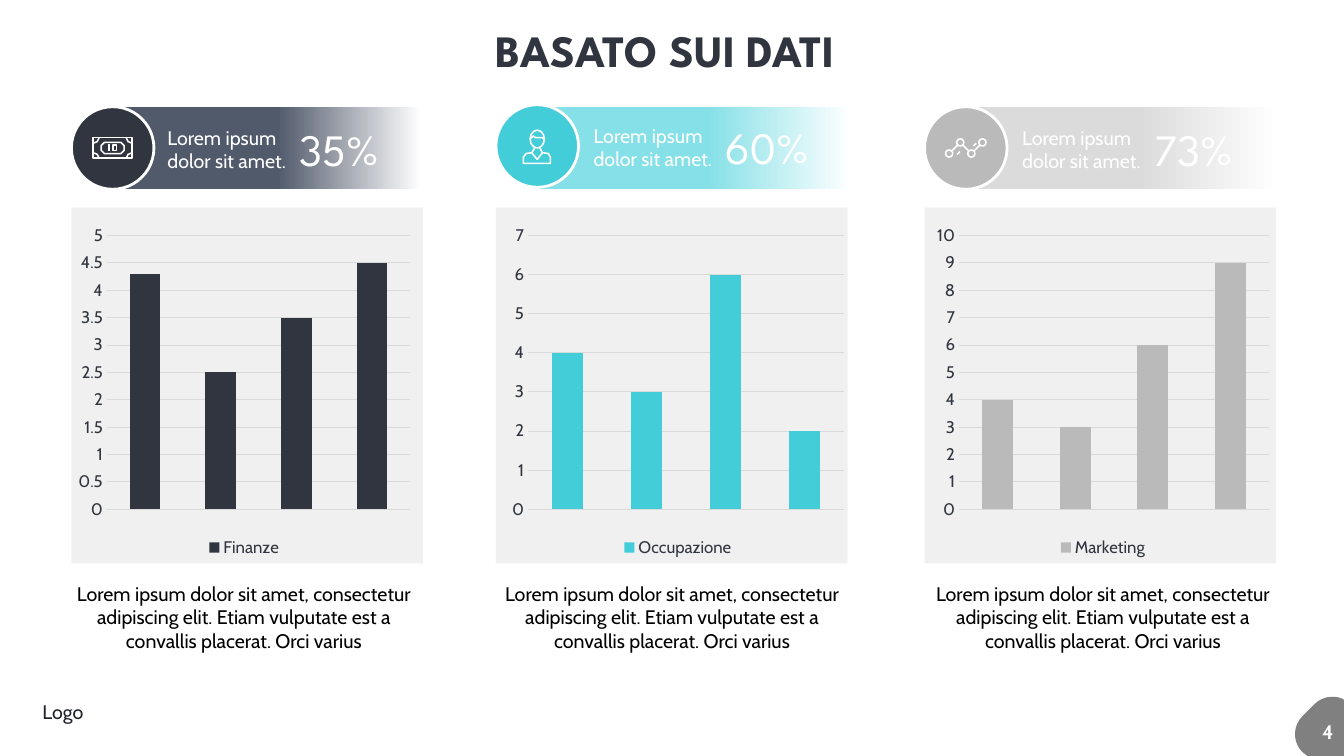
"""Build a slide with three headed column charts and their captions."""
from dataclasses import dataclass
from math import cos, radians, sin

from lxml.etree import SubElement
from pptx import Presentation
from pptx.chart.data import CategoryChartData
from pptx.dml.color import RGBColor
from pptx.enum.chart import XL_CHART_TYPE, XL_LEGEND_POSITION, XL_TICK_MARK
from pptx.enum.shapes import MSO_CONNECTOR, MSO_SHAPE
from pptx.enum.text import PP_ALIGN
from pptx.oxml.ns import qn
from pptx.util import Cm, Pt


@dataclass(frozen=True)
class Theme:
    heading_font: str = "League Spartan"
    body_font: str = "Cabin"
    dark: str = "30353F"
    slate: str = "515A6B"
    cyan: str = "43CDD9"
    light_cyan: str = "85E0E7"
    silver: str = "BABABA"
    light_silver: str = "DBDBDB"
    panel: str = "CFCFCF"
    grid: str = "D9D9D9"
    badge: str = "808080"
    logo: str = "1F2229"
    white: str = "FFFFFF"
    black: str = "000000"
    heading_size: int = 32
    body_size: int = 14
    chart_size: int = 12


theme = Theme()
presentation = Presentation()
presentation.slide_width = Cm(33.87)
presentation.slide_height = Cm(19.05)
slide = presentation.slides.add_slide(presentation.slide_layouts[6])


def add_text(text, left, top, width, height, color, size=theme.body_size,
             font=theme.body_font, bold=False, align=PP_ALIGN.LEFT, wrap=True):
    frame = slide.shapes.add_textbox(Cm(left), Cm(top), Cm(width), Cm(height)).text_frame
    frame.margin_left = frame.margin_right = frame.margin_top = frame.margin_bottom = 0
    frame.word_wrap = wrap
    frame.text = text
    paragraph = frame.paragraphs[0]
    paragraph.alignment = align
    run_font = paragraph.runs[0].font
    run_font.name, run_font.size, run_font.bold = font, Pt(size), bold
    run_font.color.rgb = RGBColor.from_string(color)


def paint(shape, fill=None, line=None, weight=1.1):
    shape.shadow.inherit = False
    if fill:
        shape.fill.solid()
        shape.fill.fore_color.rgb = RGBColor.from_string(fill)
    else:
        shape.fill.background()
    if line:
        shape.line.color.rgb = RGBColor.from_string(line)
        shape.line.width = Pt(weight)
    else:
        shape.line.fill.background()


banknote = {
    "shapes": [(MSO_SHAPE.RECTANGLE, 0.55, 0.78, 0.98, 0.52),
               (MSO_SHAPE.OCTAGON, 0.75, 0.9, 0.58, 0.28),
               (MSO_SHAPE.RECTANGLE, 1.05, 0.97, 0.09, 0.14)],
    "outlines": [[(1.04 + x * 0.49, 1.04 + y * 0.12),
                  (1.04 + x * 0.39, 1.04 + y * 0.16),
                  (1.04 + x * 0.34, 1.04 + y * 0.26)]
                 for x in (-1, 1) for y in (-1, 1)],
    "lines": [(0.95, 0.95, 0.95, 1.12)],
}
person = {
    "shapes": [(MSO_SHAPE.OVAL, 0.86, 0.64, 0.36, 0.45)],
    "outlines": [[(0.86, 0.86), (0.94, 0.79), (1, 0.83), (1.17, 0.83), (1.22, 0.88)],
                 [(0.69, 1.48), (0.69, 1.32), (0.76, 1.23), (0.9, 1.21), (1.04, 1.38),
                  (1.17, 1.21), (1.32, 1.23), (1.37, 1.32), (1.37, 1.48), (0.69, 1.48)]],
    "lines": [(0.9, 1.21, 0.98, 1.08), (1.17, 1.21, 1.1, 1.08)],
}
nodes = [(0.62, 1.18), (0.9, 0.9), (1.18, 1.18), (1.46, 0.9)]
network = {
    "shapes": [(MSO_SHAPE.OVAL, x - 0.09, y - 0.09, 0.18, 0.18) for x, y in nodes],
    "outlines": [],
    "lines": [(x1 + (x2 - x1) / 4, y1 + (y2 - y1) / 4, x2 - (x2 - x1) / 4, y2 - (y2 - y1) / 4)
              for (x1, y1), (x2, y2) in zip(nodes, nodes[1:])]
             + [(0.82, 1.2, 0.89, 1.13), (1.23, 0.99, 1.3, 0.92)],
}

cards = [
    dict(left=1.8, chart_left=1.8, header_left=2.72, text_left=4.22, caption_left=1.8,
         lift=0, color=theme.dark, tint=theme.slate, icon=banknote, percent="35%",
         name="Finanze", values=(4.3, 2.5, 3.5, 4.5), top_value=5, step=0.5),
    dict(left=12.5, chart_left=12.73, header_left=13.56, text_left=14.96, caption_left=12.59,
         lift=0.05, color=theme.cyan, tint=theme.light_cyan, icon=person, percent="60%",
         name="Occupazione", values=(4, 3, 6, 2), top_value=7, step=1),
    dict(left=23.3, chart_left=23.44, header_left=24.36, text_left=25.76, caption_left=23.45,
         lift=0, color=theme.silver, tint=theme.light_silver, icon=network, percent="73%",
         name="Marketing", values=(4, 3, 6, 9), top_value=10, step=1),
]

corner = [(33.27 + 0.635 * cos(radians(a)), 18.5 + 0.635 * sin(radians(a)))
          for a in range(135, 226, 10)]
corner += [(33.58 + 0.635 * cos(radians(a)), 18.19 + 0.635 * sin(radians(a)))
           for a in range(225, 296, 10)]
corner += [(33.87, 17.65), (33.87, 19.05), (32.95, 19.05)]
corner = [(Cm(x), Cm(y)) for x, y in corner]
builder = slide.shapes.build_freeform(*corner[0], scale=1)
builder.add_line_segments(corner[1:], close=True)
paint(builder.convert_to_shape(), theme.badge)
add_text("4", 33.32, 18.14, 0.3, 0.6, theme.white, bold=True, wrap=False)
add_text("Logo", 1.07, 17.63, 1.07, 0.6, theme.logo, wrap=False)
add_text("BASATO SUI DATI", 12.07, 0.58, 9.4, 1.24, theme.dark, theme.heading_size,
         theme.heading_font, True, PP_ALIGN.CENTER, False)

for card in cards:
    panel = slide.shapes.add_shape(MSO_SHAPE.RECTANGLE, Cm(card["left"]), Cm(5.23),
                                   Cm(8.86), Cm(8.97))
    paint(panel, theme.panel)
    panel_color = panel.element.spPr.find(".//" + qn("a:srgbClr"))
    SubElement(panel_color, qn("a:alpha")).set("val", "30000")

    chart_data = CategoryChartData()
    chart_data.categories = ["1", "2", "3", "4"]
    chart_data.add_series(card["name"], card["values"])
    chart = slide.shapes.add_chart(XL_CHART_TYPE.COLUMN_STACKED, Cm(card["chart_left"]),
                                   Cm(5.51), Cm(8.71), Cm(8.64), chart_data).chart
    chart.font.name, chart.font.size = theme.body_font, Pt(theme.chart_size)
    chart.font.color.rgb = RGBColor.from_string(theme.dark)
    chart.has_title = False
    chart.has_legend = True
    chart.legend.position = XL_LEGEND_POSITION.BOTTOM
    chart.legend.include_in_layout = False
    chart.category_axis.visible = False
    axis = chart.value_axis
    axis.minimum_scale, axis.maximum_scale = 0, card["top_value"]
    axis.major_unit = card["step"]
    axis.major_tick_mark = axis.minor_tick_mark = XL_TICK_MARK.NONE
    axis.format.line.fill.background()
    axis.major_gridlines.format.line.color.rgb = RGBColor.from_string(theme.grid)
    axis.major_gridlines.format.line.width = Pt(0.75)
    plot = chart.plots[0]
    plot.gap_width, plot.overlap, plot.vary_by_categories = 150, 100, False
    plot.series[0].format.fill.solid()
    plot.series[0].format.fill.fore_color.rgb = RGBColor.from_string(card["color"])

    add_text("Lorem ipsum dolor sit amet, consectetur adipiscing elit. "
             "Etiam vulputate est a convallis placerat. Orci varius",
             card["caption_left"], 14.66, 8.7, 1.8, theme.black, align=PP_ALIGN.CENTER)

    header = slide.shapes.add_shape(MSO_SHAPE.RECTANGLE, Cm(card["header_left"]), Cm(2.69),
                                    Cm(7.9), Cm(2.08))
    paint(header)
    header.fill.gradient()
    header.fill.gradient_angle = 0
    stops = zip(header.fill.gradient_stops, (0.54, 1), (card["tint"], theme.white))
    for stop, position, color in stops:
        stop.position = position
        stop.color.rgb = RGBColor.from_string(color)

    circle_top = 2.69 - card["lift"]
    circle = slide.shapes.add_shape(MSO_SHAPE.OVAL, Cm(card["left"]), Cm(circle_top),
                                    Cm(2.08), Cm(2.08))
    paint(circle, card["color"], theme.white, 2)

    icon = slide.shapes.add_group_shape().shapes
    for kind, x, y, width, height in card["icon"]["shapes"]:
        paint(icon.add_shape(kind, Cm(card["left"] + x), Cm(circle_top + y),
                             Cm(width), Cm(height)), line=theme.white)
    for outline in card["icon"]["outlines"]:
        points = [(Cm(card["left"] + x), Cm(circle_top + y)) for x, y in outline]
        builder = icon.build_freeform(*points[0], scale=1)
        builder.add_line_segments(points[1:], close=False)
        paint(builder.convert_to_shape(), line=theme.white)
    for x1, y1, x2, y2 in card["icon"]["lines"]:
        line = icon.add_connector(MSO_CONNECTOR.STRAIGHT,
                                  Cm(card["left"] + x1), Cm(circle_top + y1),
                                  Cm(card["left"] + x2), Cm(circle_top + y2))
        line.line.color.rgb = RGBColor.from_string(theme.white)
        line.line.width = Pt(1.1)
        SubElement(line.element.spPr, qn("a:effectLst"))

    add_text(card["percent"], card["text_left"] + 3.33, 3.07 - card["lift"], 2.6, 1.37,
             theme.white, theme.heading_size, theme.heading_font)
    add_text("Lorem ipsum dolor sit amet.", card["text_left"], 3.17 - card["lift"],
             3.25, 1.2, theme.white)

presentation.save("out.pptx")
